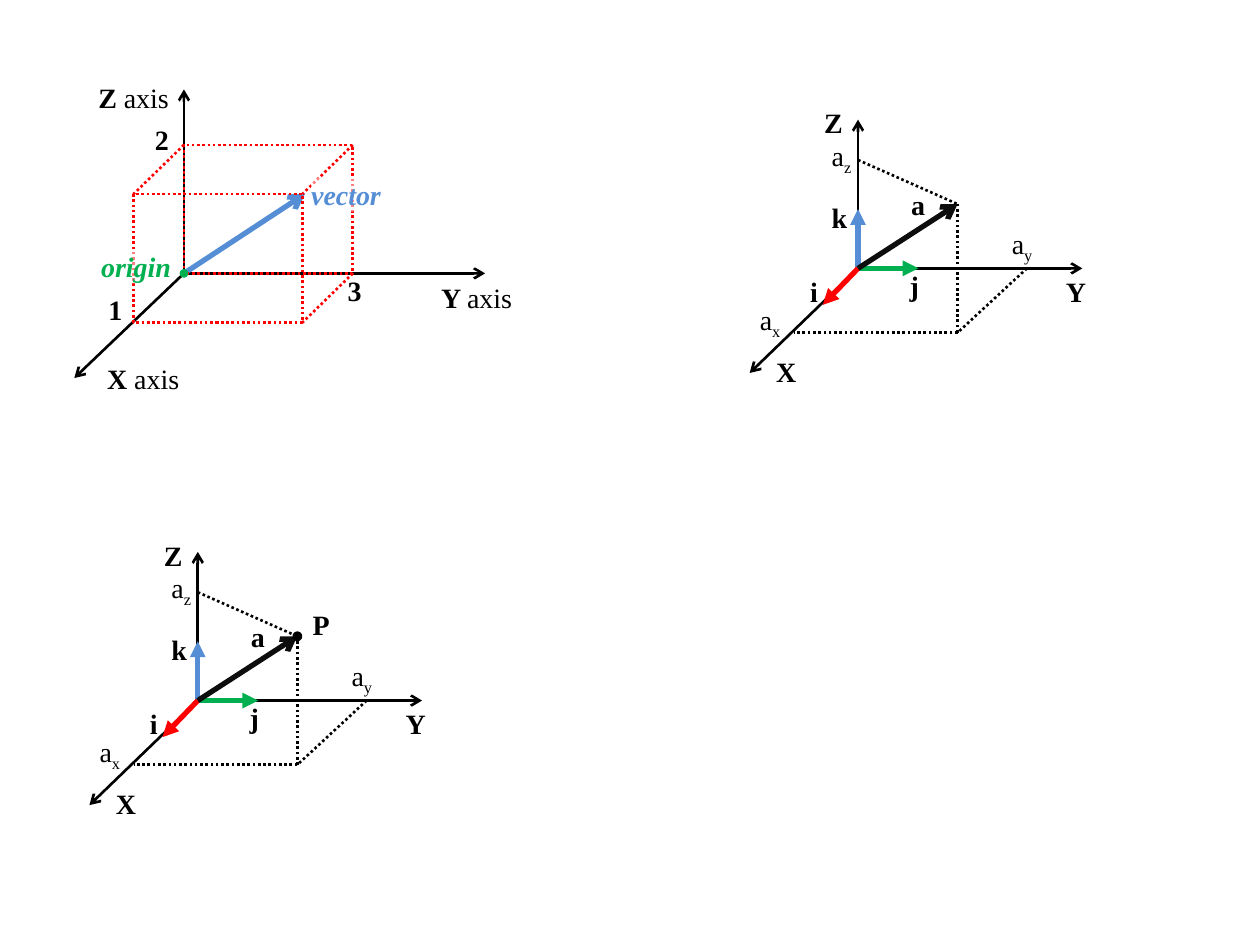
from lxml import etree
from pptx import Presentation
from pptx.dml.color import RGBColor
from pptx.enum.dml import MSO_LINE
from pptx.enum.shapes import MSO_CONNECTOR, MSO_SHAPE
from pptx.enum.text import MSO_ANCHOR, MSO_AUTO_SIZE, PP_ALIGN
from pptx.oxml.ns import qn
from pptx.util import Inches, Pt

STRAIGHT = MSO_CONNECTOR.STRAIGHT
RECTANGLE, OVAL = MSO_SHAPE.RECTANGLE, MSO_SHAPE.OVAL
DOTTED = MSO_LINE.ROUND_DOT  # written as sysDot
MIDDLE = MSO_ANCHOR.MIDDLE
LEFT, CENTER = PP_ALIGN.LEFT, PP_ALIGN.CENTER
FIT_TEXT = MSO_AUTO_SIZE.SHAPE_TO_FIT_TEXT

FONT = "Times New Roman"
BLACK, NEAR_BLACK, WHITE = "000000", "0D0D0D", "FFFFFF"
RED, GREEN, BLUE = "FF0000", "00B050", "558ED5"
LABEL_HEIGHT = 0.35


def color(hex_code):
    return RGBColor.from_string(hex_code)


def set_line(line, hex_code, width, dotted=False):
    line.color.rgb = color(hex_code)
    line.width = Pt(width)
    if dotted:
        line.dash_style = DOTTED


def add_line(slide, origin, start, end, hex_code=BLACK, width=1.5,
             dotted=False, arrow=None):
    """Draw a line between two points measured from the origin."""
    x, y = origin
    connector = slide.shapes.add_connector(
        STRAIGHT, Inches(x + start[0]), Inches(y + start[1]),
        Inches(x + end[0]), Inches(y + end[1]))
    set_line(connector.line, hex_code, width, dotted)
    properties = connector._element.spPr
    if arrow:
        etree.SubElement(properties.find(qn("a:ln")), qn("a:tailEnd"), type=arrow)
    etree.SubElement(properties, qn("a:effectLst"))


def add_box(slide, origin, kind, at, size):
    box = slide.shapes.add_shape(
        kind, Inches(origin[0] + at[0]), Inches(origin[1] + at[1]),
        Inches(size[0]), Inches(size[1]))
    box.shadow.inherit = False
    return box


def add_dot(slide, origin, center, diameter, hex_code):
    corner = [position - diameter / 2 for position in center]
    dot = add_box(slide, origin, OVAL, corner, (diameter, diameter))
    dot.fill.solid()
    dot.fill.fore_color.rgb = color(hex_code)
    set_line(dot.line, hex_code, 2)


def write_runs(box, runs, margin, hex_code=BLACK, align=LEFT, wrap=False):
    """Write (text, style) runs; styles are bold, bold italic, sub or empty."""
    frame = box.text_frame
    frame.word_wrap = wrap
    frame.auto_size = FIT_TEXT
    frame.margin_left = frame.margin_right = Inches(margin)
    frame.margin_top = frame.margin_bottom = Inches(margin)
    paragraph = frame.paragraphs[0]
    paragraph.alignment = align
    for text, style in runs:
        run = paragraph.add_run()
        run.text = text
        run.font.name = FONT
        run.font.size = Pt(16)
        run.font.color.rgb = color(hex_code)
        run.font.bold = "bold" in style
        run.font.italic = "italic" in style
        if style == "sub":
            run._r.get_or_add_rPr().set("baseline", "-25000")


def add_label(slide, origin, runs, at, width, align=LEFT, wrap=False):
    label = slide.shapes.add_textbox(
        Inches(origin[0] + at[0]), Inches(origin[1] + at[1]),
        Inches(width), Inches(LABEL_HEIGHT))
    write_runs(label, runs, 0.04, align=align, wrap=wrap)


def add_tag(slide, origin, text, at, hex_code, align):
    """Coloured word on a half-transparent white ground."""
    tag = add_box(slide, origin, RECTANGLE, at, (0.56, 0.27))
    tag.fill.solid()
    tag.fill.fore_color.rgb = color(WHITE)
    white = tag._element.spPr.find(qn("a:solidFill"))[0]
    etree.SubElement(white, qn("a:alpha"), val="50000")
    tag.line.fill.background()
    tag.text_frame.vertical_anchor = MIDDLE
    write_runs(tag, [(text, "bold italic")], 0, hex_code, align)


def add_axes(slide, origin, tips):
    for tip in tips:
        add_line(slide, origin, (0, 0), tip, arrow="arrow")


def add_cuboid_diagram(slide, left, top):
    """Vector as the diagonal of a 1 by 3 by 2 cuboid."""
    origin = (left + 0.87, top + 1.57)
    width, height = 1.34, 1.02
    shift_x, shift_y = -0.4, 0.39  # from the back face to the front face

    # Axes and vector
    add_axes(slide, origin, [(2.39, 0), (-0.87, 0.83), (0, -1.46)])
    add_line(slide, origin, (0, 0), (0.96, -0.63), BLUE, 3, arrow="arrow")

    # Cuboid: two faces and the edges between them
    for x, y in [(0, -height), (shift_x, shift_y - height)]:
        face = add_box(slide, origin, RECTANGLE, (x, y), (width, height))
        face.fill.background()
        set_line(face.line, RED, 1.5, dotted=True)
    for x, y in [(width, 0), (width, -height), (0, -height)]:
        add_line(slide, origin, (x, y), (x + shift_x, y + shift_y), RED, dotted=True)

    # Axis names and extents
    for axis, at, label_width in [("X", (-0.65, 0.66), 0.79),
                                  ("Y", (2, 0.02), 0.79),
                                  ("Z", (-0.72, -1.57), 0.7)]:
        add_label(slide, origin, [(f"{axis} ", "bold"), ("axis", "")],
                  at, label_width, wrap=True)
    for extent, at in [("1", (-0.69, 0.11)), ("2", (-0.32, -1.24)),
                       ("3", (1.21, -0.04))]:
        add_label(slide, origin, [(extent, "bold")], at, 0.29, CENTER, wrap=True)

    # Vector and origin
    add_tag(slide, origin, "vector", (1.01, -0.76), BLUE, LEFT)
    add_dot(slide, origin, (0, 0), 0.04, GREEN)
    add_tag(slide, origin, "origin", (-0.66, -0.19), GREEN, CENTER)


def add_component_diagram(slide, left, top, with_point=False):
    """Vector a with its components and the unit vectors i, j and k."""
    origin = (left + 0.86, top + 1.33)
    vector_tip, foot = (0.79, -0.51), (0.79, 0.51)

    # Axes
    add_axes(slide, origin, [(1.78, 0), (-0.86, 0.83), (0, -1.18)])

    # Projections on the axes
    for start, end in [((1.34, 0), foot), ((0, -0.86), vector_tip),
                       (foot, vector_tip), (foot, (-0.51, 0.51))]:
        add_line(slide, origin, start, end, dotted=True)

    # Unit vectors and vector a
    for tip, hex_code in [((0, -0.47), BLUE), ((0.48, 0), GREEN),
                          ((-0.28, 0.29), RED)]:
        add_line(slide, origin, (0, 0), tip, hex_code, 3, arrow="triangle")
    add_line(slide, origin, (0, 0), vector_tip, NEAR_BLACK, 3, arrow="arrow")

    # Names of axes and vectors
    for name, at, width in [
            ("X", (-0.69, 0.64), 0.24), ("Y", (1.61, 0.01), 0.24),
            ("Z", (-0.31, -1.33), 0.23), ("i", (-0.42, 0.01), 0.14),
            ("j", (0.37, -0.04), 0.15), ("k", (-0.25, -0.58), 0.2),
            ("a", (0.38, -0.68), 0.19)]:
        add_label(slide, origin, [(name, "bold")], at, width)

    # Components
    for axis, at in [("x", (-0.82, 0.23)), ("y", (1.18, -0.37)),
                     ("z", (-0.25, -1.07))]:
        add_label(slide, origin, [("a", ""), (axis, "sub")], at, 0.25)

    # End point
    if with_point:
        add_label(slide, origin, [("P", "bold")], (0.87, -0.78), 0.22)
        add_dot(slide, origin, vector_tip, 0.05, BLACK)


def main():
    presentation = Presentation()
    presentation.slide_width = Inches(10)
    presentation.slide_height = Inches(7.5)
    slide = presentation.slides.add_slide(presentation.slide_layouts[6])
    add_cuboid_diagram(slide, 0.59, 0.6)
    add_component_diagram(slide, 5.95, 0.8)
    add_component_diagram(slide, 0.71, 4.23, with_point=True)
    presentation.save("out.pptx")


if __name__ == "__main__":
    main()
